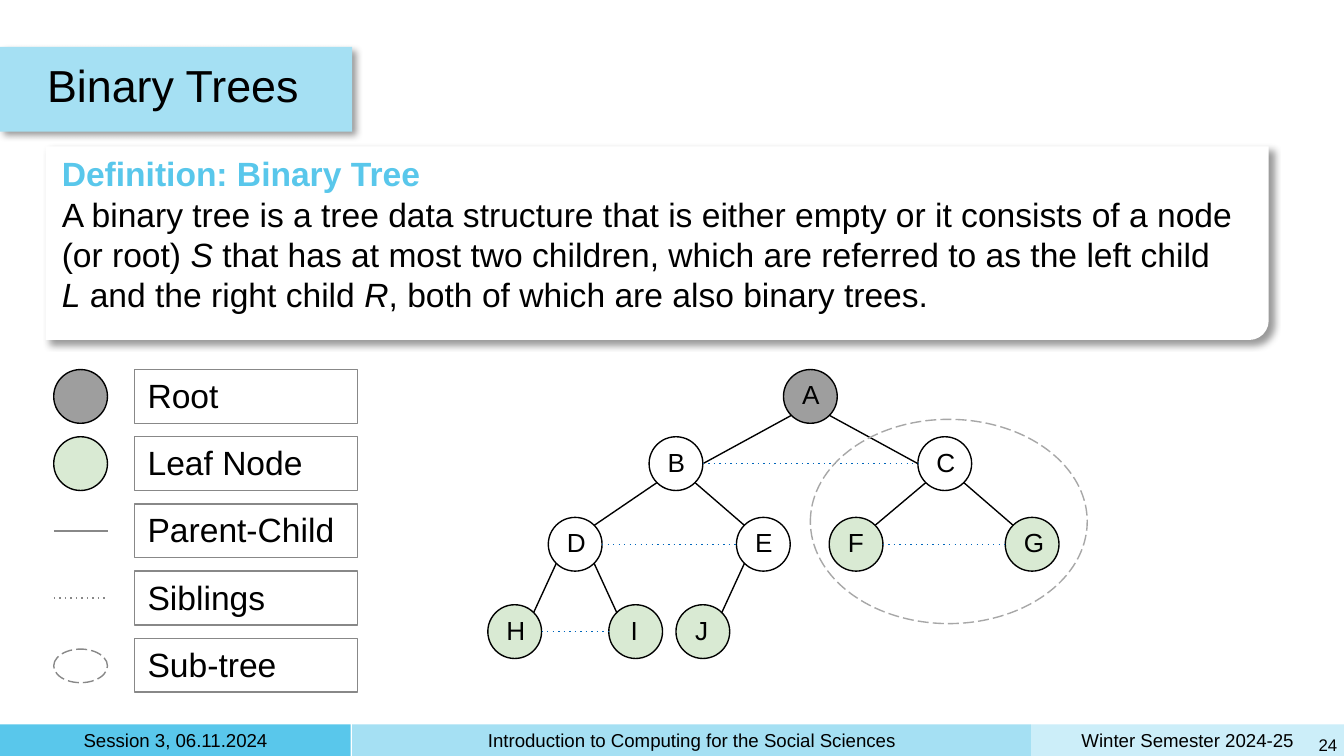
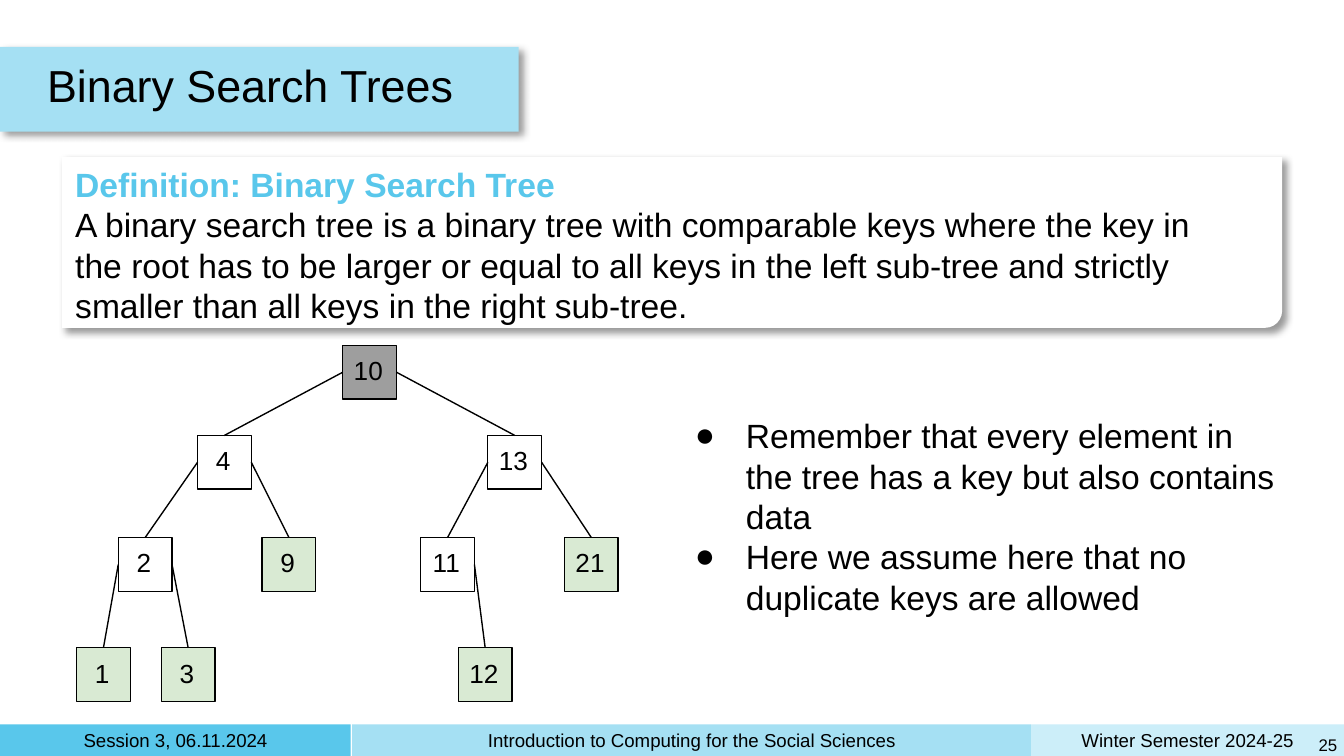
from dataclasses import dataclass
from typing import Any

import lxml.etree
import pptx
import pptx.dml.color
import pptx.enum.shapes
import pptx.enum.text
import pptx.oxml.ns
import pptx.util

Inches = pptx.util.Inches
Pt = pptx.util.Pt
qn = pptx.oxml.ns.qn
SHAPE = pptx.enum.shapes.MSO_SHAPE
ALIGN = pptx.enum.text.PP_ALIGN
ANCHOR = pptx.enum.text.MSO_ANCHOR

FONT = "Arial"
BLACK, WHITE, GRAY, PALE = "000000", "FFFFFF", "888888", "A7A7A7"
SKY, LIGHT, MIST = "59C7EB", "A5E0F3", "CCEEF9"
ROOT, LEAF, BLUE = "9E9E9E", "D9EAD3", "0066BB"
NODE = 0.4
PAD = (0.05, 0.05, 0.05, 0.05)

# Points on a node's edge, as fractions of its size
PORTS = {
    "n": (0.5, 0), "w": (0, 0.5), "s": (0.5, 1), "e": (1, 0.5),
    "nw": (0.15, 0.15), "ne": (0.85, 0.15),
    "sw": (0.15, 0.85), "se": (0.85, 0.85),
}
SITES = {"n": 0, "w": 1, "s": 2, "e": 3}


@dataclass
class Area:
    left: float
    top: float
    width: float
    height: float

    def lengths(self) -> list:
        return [Inches(v) for v in (self.left, self.top, self.width, self.height)]


@dataclass
class Band:
    text: str
    left: float
    width: float
    fill: str


@dataclass
class Node:
    key: str
    left: float
    top: float
    fill: str = WHITE


@dataclass
class Edge:
    start: str
    end: str
    out: str
    into: str


@dataclass
class Tree:
    form: Any
    nodes: list[Node]
    edges: list[Edge]
    pairs: list[str]


BANDS = [
    Band("Winter Semester 2024-25", 7.67, 2.33, MIST),
    Band("Session 3, 06.11.2024", 0, 2.61, SKY),
    Band("Introduction to Computing for the Social Sciences", 2.62, 5.05, LIGHT),
]

BINARY = Tree(
    SHAPE.OVAL,
    [
        Node("A", 5.83, 2.75, ROOT),
        Node("B", 4.83, 3.25), Node("C", 6.83, 3.25),
        Node("D", 4.08, 3.85), Node("E", 5.48, 3.85),
        Node("F", 6.17, 3.85, LEAF), Node("G", 7.48, 3.85, LEAF),
        Node("H", 3.63, 4.5, LEAF), Node("I", 4.53, 4.5, LEAF),
        Node("J", 5.03, 4.5, LEAF),
    ],
    [Edge("A", "B", "sw", "e"), Edge("A", "C", "se", "w")]
    + [Edge(a, b, "sw", "ne") for a, b in ("BD", "CF", "DH", "EJ")]
    + [Edge(a, b, "se", "nw") for a, b in ("BE", "CG", "DI")],
    ["BC", "DE", "FG", "HI"],
)

SEARCH = Tree(
    SHAPE.RECTANGLE,
    [
        Node("10", 2.55, 2.57, ROOT),
        Node("4", 1.47, 3.24), Node("13", 3.63, 3.24),
        Node("2", 0.88, 4), Node("9", 1.95, 4, LEAF),
        Node("11", 3.13, 4), Node("21", 4.2, 4, LEAF),
        Node("1", 0.57, 4.82, LEAF), Node("3", 1.2, 4.82, LEAF),
        Node("12", 3.41, 4.82, LEAF),
    ],
    [Edge(a, b, "w", "n")
     for a, b in (("10", "4"), ("4", "2"), ("13", "11"), ("2", "1"))]
    + [Edge(a, b, "e", "n")
       for a, b in (("10", "13"), ("4", "9"), ("13", "21"), ("2", "3"), ("11", "12"))],
    [],
)


def color(code: str) -> pptx.dml.color.RGBColor:
    return pptx.dml.color.RGBColor.from_string(code)


def style(font: Any, size: float, code: str = BLACK) -> None:
    font.name = FONT
    font.size = Pt(size)
    font.color.rgb = color(code)


def stroke(item: Any, code: str, dash: str = "") -> None:
    item.line.color.rgb = color(code)
    item.line.width = Pt(0.75)
    if dash:
        outline = item.element.spPr.find(qn("a:ln"))
        lxml.etree.SubElement(outline, qn("a:prstDash"), val=dash)


def shade(item: Any) -> None:
    """Give a shape the soft shadow that falls to the lower right."""
    item.shadow.inherit = False
    effects = item.element.spPr.find(qn("a:effectLst"))
    outer = lxml.etree.SubElement(
        effects, qn("a:outerShdw"), blurRad=str(Pt(4)), dist=str(Pt(3)),
        dir="2700000", algn="bl", rotWithShape="0")
    tint = lxml.etree.SubElement(outer, qn("a:srgbClr"), val=BLACK)
    lxml.etree.SubElement(tint, qn("a:alpha"), val="40000")


def shape(slide: Any, form: Any, area: Area, fill: str = "",
          line: str = "", dash: str = "") -> Any:
    item = slide.shapes.add_shape(form, *area.lengths())
    item.shadow.inherit = False
    if fill:
        item.fill.solid()
        item.fill.fore_color.rgb = color(fill)
    else:
        item.fill.background()
    if line:
        stroke(item, line, dash)
    else:
        item.line.fill.background()
    return item


def setup(frame: Any, pad: tuple = PAD, anchor: Any = ANCHOR.TOP) -> None:
    frame.word_wrap = True
    frame.auto_size = pptx.enum.text.MSO_AUTO_SIZE.NONE
    frame.vertical_anchor = anchor
    (frame.margin_left, frame.margin_top,
     frame.margin_right, frame.margin_bottom) = [Inches(v) for v in pad]


def write(frame: Any, text: str, size: float, align: Any = ALIGN.LEFT) -> None:
    frame.text = text
    for para in frame.paragraphs:
        para.alignment = align
        for run in para.runs:
            style(run.font, size)


def textbox(slide: Any, area: Area) -> Any:
    frame = slide.shapes.add_textbox(*area.lengths()).text_frame
    setup(frame)
    return frame


def line(slide: Any, start: tuple, end: tuple, code: str, dash: str = "") -> Any:
    item = slide.shapes.add_connector(
        pptx.enum.shapes.MSO_CONNECTOR.STRAIGHT,
        *[Inches(v) for v in (*start, *end)])
    stroke(item, code, dash)
    lxml.etree.SubElement(item.element.spPr, qn("a:effectLst"))
    return item


def footer(slide: Any, layout: Any) -> None:
    """Draw the bands and hand them to the layout, which all slides share."""
    for band in BANDS:
        item = shape(slide, SHAPE.RECTANGLE,
                     Area(band.left, 5.39, band.width, 0.24), band.fill)
        setup(item.text_frame, (0.1, 0, 0.1, 0), ANCHOR.MIDDLE)
        write(item.text_frame, band.text, 10, ALIGN.CENTER)
        layout.shapes.element.append(item.element)


def number(slide: Any, value: int) -> None:
    frame = textbox(slide, Area(9.76, 5.42, 0.24, 0.25))
    frame.vertical_anchor = ANCHOR.MIDDLE
    write(frame, str(value), 9, ALIGN.RIGHT)
    run = frame.paragraphs[0].runs[0]._r
    field = lxml.etree.Element(
        qn("a:fld"), id="{B6F15528-21DE-4FAA-801E-634DDDAF4B2B}", type="slidenum")
    run.addprevious(field)
    field.extend(list(run))
    run.getparent().remove(run)


def heading(slide: Any, text: str, width: float) -> None:
    title = slide.shapes.title
    title.left, title.top, title.width, title.height = Area(0.3, 0.35, 8.7, 0.63).lengths()
    setup(title.text_frame, anchor=ANCHOR.MIDDLE)
    write(title.text_frame, text, 24)
    title.text_frame.paragraphs[0].line_spacing = 0.8
    band = shape(slide, SHAPE.RECTANGLE, Area(0, 0.35, width, 0.63), LIGHT)
    shade(band)
    title.element.addprevious(band.element)


def define(slide: Any, card: Area, area: Area, term: str, text: str) -> None:
    """Draw a definition card; words between asterisks are italic."""
    back = shape(slide, SHAPE.ROUND_1_RECTANGLE, card, WHITE)
    back.adjustments[0] = 0.1
    back.element.spPr.find(qn("a:xfrm")).set("flipV", "1")
    shade(back)
    para = textbox(slide, area).paragraphs[0]
    para.text = f"Definition: {term}"
    style(para.runs[0].font, 18, SKY)
    para.runs[0].font.bold = True
    para.add_line_break()
    for i, part in enumerate(text.split("*")):
        run = para.add_run()
        run.text = part
        style(run.font, 18)
        run.font.italic = i % 2 == 1


def spot(node: Node, port: str) -> tuple:
    x, y = PORTS[port]
    return node.left + x * NODE, node.top + y * NODE


def plant(slide: Any, tree: Tree) -> None:
    """Draw the nodes of a tree, its edges and the sibling lines."""
    nodes = {node.key: node for node in tree.nodes}
    items = {}
    for node in tree.nodes:
        item = shape(slide, tree.form, Area(node.left, node.top, NODE, NODE),
                     node.fill, BLACK)
        setup(item.text_frame, (0.08, 0, 0.1, 0.03), ANCHOR.MIDDLE)
        write(item.text_frame, node.key, 14, ALIGN.CENTER)
        items[node.key] = item
    for edge in tree.edges:
        link = line(slide, spot(nodes[edge.start], edge.out),
                    spot(nodes[edge.end], edge.into), BLACK)
        if tree.form == SHAPE.RECTANGLE:
            link.begin_connect(items[edge.start], SITES[edge.out])
            link.end_connect(items[edge.end], SITES[edge.into])
    for a, b in tree.pairs:
        line(slide, spot(nodes[a], "e"), spot(nodes[b], "w"), BLUE, "dot")


def legend(slide: Any) -> None:
    labels = ["Root", "Leaf Node", "Parent-Child", "Siblings", "Sub-tree"]
    tops = [2.75 + 0.5 * i for i in range(len(labels))]
    for label, top in zip(labels, tops):
        item = shape(slide, SHAPE.RECTANGLE, Area(1, top, 1.66, 0.4), line=GRAY)
        setup(item.text_frame, (0.1, 0.04, 0.1, 0.1))
        write(item.text_frame, label, 18)
    for top, fill in zip(tops, (ROOT, LEAF)):
        shape(slide, SHAPE.OVAL, Area(0.4, top, NODE, NODE), fill, BLACK)
    for top, dash in zip(tops[2:], ("", "dot")):
        line(slide, (0.4, top + 0.2), (0.8, top + 0.2), GRAY, dash)
    shape(slide, SHAPE.OVAL, Area(0.4, tops[4] + 0.08, 0.4, 0.25),
          line=GRAY, dash="lgDash")


def bullets(slide: Any, area: Area, lines: list[str]) -> None:
    frame = textbox(slide, area)
    write(frame, "\n".join(lines), 18)
    frame.paragraphs[0].space_before = Pt(6)
    for para in frame.paragraphs:
        props = para._p.get_or_add_pPr()
        props.set("marL", str(Inches(0.5)))
        props.set("indent", str(Inches(-0.38)))
        tint = lxml.etree.SubElement(props, qn("a:buClr"))
        lxml.etree.SubElement(tint, qn("a:srgbClr"), val=BLACK)
        lxml.etree.SubElement(props, qn("a:buFont"), typeface=FONT)
        lxml.etree.SubElement(props, qn("a:buChar"), char="●")


def main() -> None:
    deck = pptx.Presentation()
    deck.slide_width = Inches(10)
    deck.slide_height = Inches(10 * 9 / 16)
    deck.element.set("firstSlideNum", "24")
    layout = deck.slide_layouts[5]

    first = deck.slides.add_slide(layout)
    footer(first, layout)
    heading(first, "Binary Trees", 2.62)
    define(first, Area(0.34, 1.09, 9.1, 1.44), Area(0.41, 1.09, 8.82, 1.31),
           "Binary Tree",
           "A binary tree is a tree data structure that is either empty or it "
           "consists of a node (or root) *S* that has at most two children, which "
           "are referred to as the left child *L* and the right child *R*, both of "
           "which are also binary trees.")
    number(first, 24)
    plant(first, BINARY)
    shape(first, SHAPE.OVAL, Area(6.03, 3.12, 2.06, 1.52), line=PALE, dash="lgDash")
    legend(first)

    second = deck.slides.add_slide(layout)
    heading(second, "Binary Search Trees", 3.86)
    bullets(second, Area(5, 3.04, 4.6, 1.62), [
        "Remember that every element in the tree has a key but also contains data",
        "Here we assume here that no duplicate keys are allowed"])
    define(second, Area(0.46, 1.17, 9.08, 1.27), Area(0.51, 1.17, 8.42, 1.31),
           "Binary Search Tree",
           "A binary search tree is a binary tree with comparable keys where the "
           "key in the root has to be larger or equal to all keys in the left "
           "sub-tree and strictly smaller than all keys in the right sub-tree.")
    number(second, 25)
    plant(second, SEARCH)

    deck.save("out.pptx")


if __name__ == "__main__":
    main()
